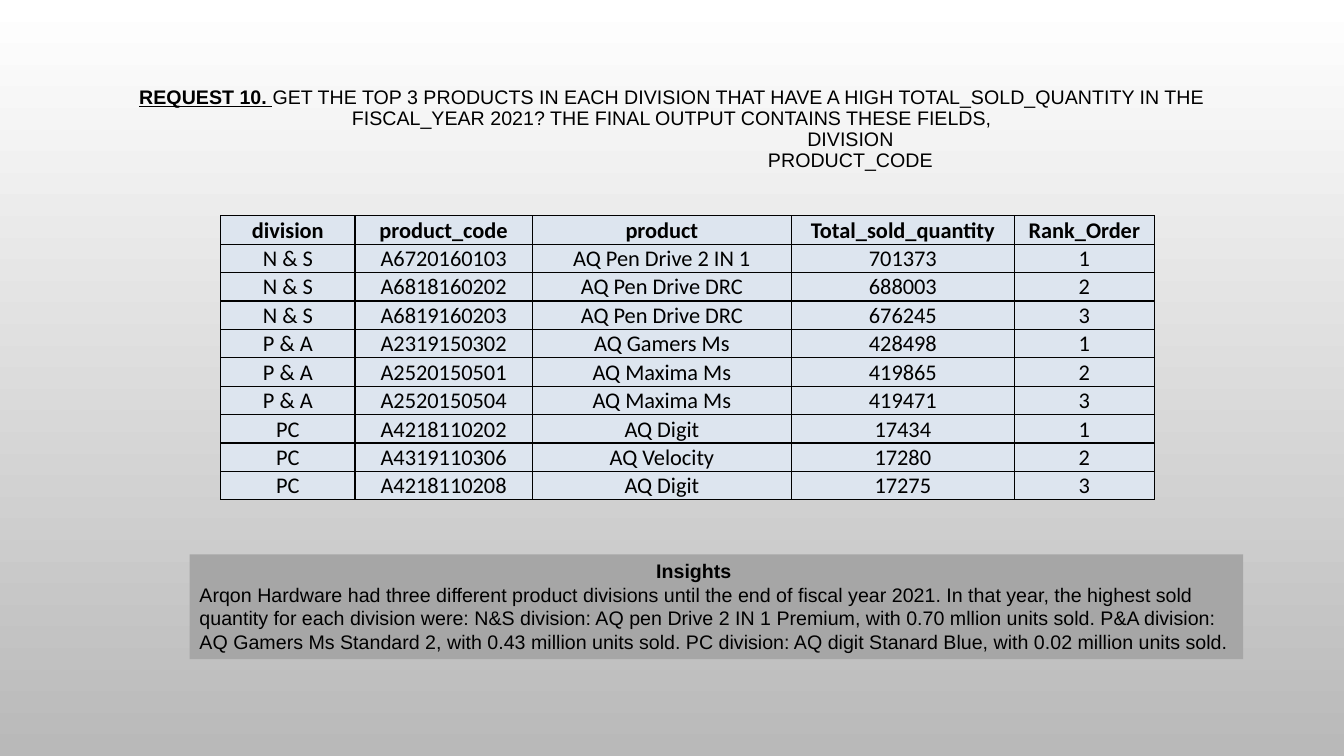
"""Builds the Request 10 slide with the top products of each division."""
from dataclasses import dataclass

from lxml.etree import SubElement
from pptx import Presentation
from pptx.dml.color import RGBColor
from pptx.enum.shapes import MSO_SHAPE
from pptx.enum.text import MSO_ANCHOR, PP_ALIGN
from pptx.oxml.ns import qn
from pptx.util import Inches, Pt


@dataclass(frozen=True)
class Theme:
    text: str = "000000"
    cell: str = "DDE5EF"
    panel: str = "A6A6A6"
    background_top: str = "FFFFFF"
    background_bottom: str = "B9B9B9"
    body_font: str = "Arial"
    table_font: str = "Calibri"
    body_size: int = 14
    table_size: int = 16
    border_width: int = 1


class SlideBuilder:
    def __init__(self, presentation, theme):
        self.theme = theme
        self.slide = presentation.slides.add_slide(presentation.slide_layouts[5])

    def format_run(self, run, font_name, size, bold=False, underline=False):
        run.font.name = font_name
        run.font.size = Pt(size)
        run.font.bold = bold
        run.font.underline = underline
        run.font.color.rgb = RGBColor.from_string(self.theme.text)

    def add_background(self):
        fill = self.slide.background.fill
        fill.gradient()
        fill.gradient_angle = 270
        colors = (self.theme.background_top, self.theme.background_bottom)
        for stop, color in zip(fill.gradient_stops, colors):
            stop.color.rgb = RGBColor.from_string(color)

    def add_title(self, label, question, fields, box, field_indent):
        title = self.slide.shapes.title
        title.left, title.top, title.width, title.height = map(Inches, box)
        frame = title.text_frame
        frame.word_wrap = True
        frame.vertical_anchor = MSO_ANCHOR.MIDDLE
        frame.text = "\n".join([label, *fields])
        frame.paragraphs[0].add_run().text = question
        for index, paragraph in enumerate(frame.paragraphs):
            paragraph.alignment = PP_ALIGN.CENTER
            paragraph.line_spacing = 0.9
            if index > 0:
                paragraph._p.get_or_add_pPr().set("marL", str(Inches(field_indent)))
            for run in paragraph.runs:
                is_label = run.text == label
                self.format_run(run, self.theme.body_font, self.theme.body_size, is_label, is_label)

    def add_borders(self, cell):
        properties = cell._tc.get_or_add_tcPr()
        for side in ("a:lnL", "a:lnR", "a:lnT", "a:lnB"):
            line = SubElement(properties, qn(side), w=str(Pt(self.theme.border_width)))
            fill = SubElement(line, qn("a:solidFill"))
            SubElement(fill, qn("a:srgbClr"), val=self.theme.text)

    def add_table(self, rows, left, top, column_widths, row_height):
        frame = self.slide.shapes.add_table(
            len(rows), len(column_widths), Inches(left), Inches(top),
            Inches(sum(column_widths)), Inches(row_height * len(rows)))
        table = frame.table
        table.horz_banding = False
        for column, width in zip(table.columns, column_widths):
            column.width = Inches(width)
        for row_index, (row, values) in enumerate(zip(table.rows, rows)):
            row.height = Inches(row_height)
            for cell, value in zip(row.cells, values):
                self.add_borders(cell)
                cell.fill.solid()
                cell.fill.fore_color.rgb = RGBColor.from_string(self.theme.cell)
                cell.vertical_anchor = MSO_ANCHOR.BOTTOM
                cell.margin_left = cell.margin_right = cell.margin_top = Inches(0.01)
                cell.margin_bottom = 0
                cell.text = value
                paragraph = cell.text_frame.paragraphs[0]
                paragraph.alignment = PP_ALIGN.CENTER
                self.format_run(paragraph.runs[0], self.theme.table_font,
                                self.theme.table_size, row_index == 0)

    def add_panel(self, heading, body, box, heading_indent):
        panel = self.slide.shapes.add_shape(MSO_SHAPE.RECTANGLE, *map(Inches, box))
        panel.shadow.inherit = False
        panel.fill.solid()
        panel.fill.fore_color.rgb = RGBColor.from_string(self.theme.panel)
        panel.line.fill.background()
        frame = panel.text_frame
        frame.word_wrap = True
        frame.vertical_anchor = MSO_ANCHOR.TOP
        frame.text = f"{heading}\n{body}"
        for paragraph in frame.paragraphs:
            paragraph.alignment = PP_ALIGN.LEFT
            run = paragraph.runs[0]
            self.format_run(run, self.theme.body_font, self.theme.body_size, run.text == heading)
        frame.paragraphs[0]._p.get_or_add_pPr().set("marL", str(Inches(heading_indent)))


PRODUCT_ROWS = [
    ("division", "product_code", "product", "Total_sold_quantity", "Rank_Order"),
    ("N & S", "A6720160103", "AQ Pen Drive 2 IN 1", "701373", "1"),
    ("N & S", "A6818160202", "AQ Pen Drive DRC", "688003", "2"),
    ("N & S", "A6819160203", "AQ Pen Drive DRC", "676245", "3"),
    ("P & A", "A2319150302", "AQ Gamers Ms", "428498", "1"),
    ("P & A", "A2520150501", "AQ Maxima Ms", "419865", "2"),
    ("P & A", "A2520150504", "AQ Maxima Ms", "419471", "3"),
    ("PC", "A4218110202", "AQ Digit", "17434", "1"),
    ("PC", "A4319110306", "AQ Velocity", "17280", "2"),
    ("PC", "A4218110208", "AQ Digit", "17275", "3"),
]

INSIGHT = (
    "Arqon Hardware had three different product divisions until the end of fiscal year 2021. "
    "In that year, the highest sold quantity for each division were: "
    "N&S division: AQ pen Drive 2 IN 1 Premium, with 0.70 mllion units sold. "
    "P&A division: AQ Gamers Ms Standard 2, with 0.43 million units sold. "
    "PC division: AQ digit Stanard Blue, with 0.02 million units sold."
)


def main():
    presentation = Presentation()
    presentation.slide_width = Inches(13.33)
    presentation.slide_height = Inches(7.5)
    builder = SlideBuilder(presentation, Theme())
    builder.add_background()
    builder.add_title(
        "REQUEST 10. ",
        "GET THE TOP 3 PRODUCTS IN EACH DIVISION THAT HAVE A HIGH TOTAL_SOLD_QUANTITY "
        "IN THE FISCAL_YEAR 2021? THE FINAL OUTPUT CONTAINS THESE FIELDS,",
        ["DIVISION", "PRODUCT_CODE"], (1, 0.15, 11.33, 2.27), field_indent=3.54)
    builder.add_table(PRODUCT_ROWS, 2.19, 2.14, (1.33, 1.76, 2.57, 2.21, 1.39), 0.28)
    builder.add_panel("Insights", INSIGHT, (1.88, 5.5, 10.45, 1.04), heading_indent=4.53)
    presentation.save("out.pptx")


if __name__ == "__main__":
    main()
